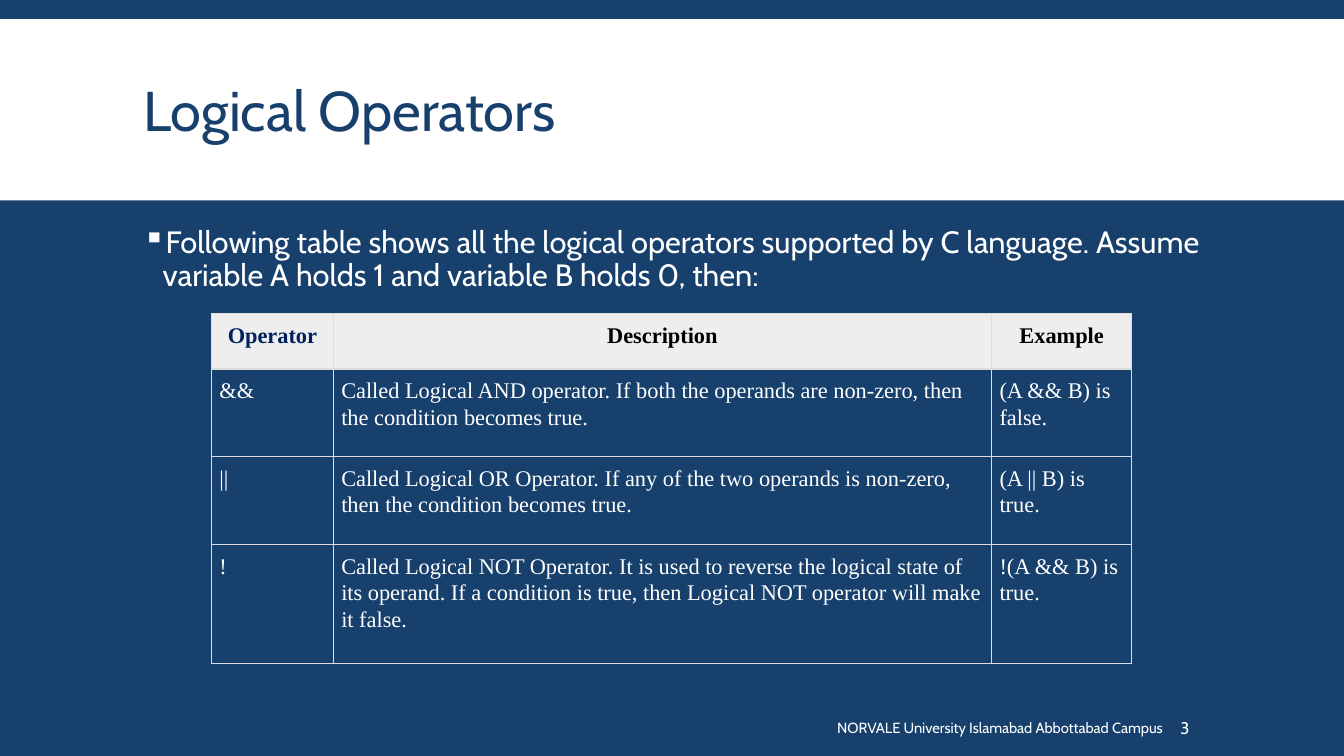
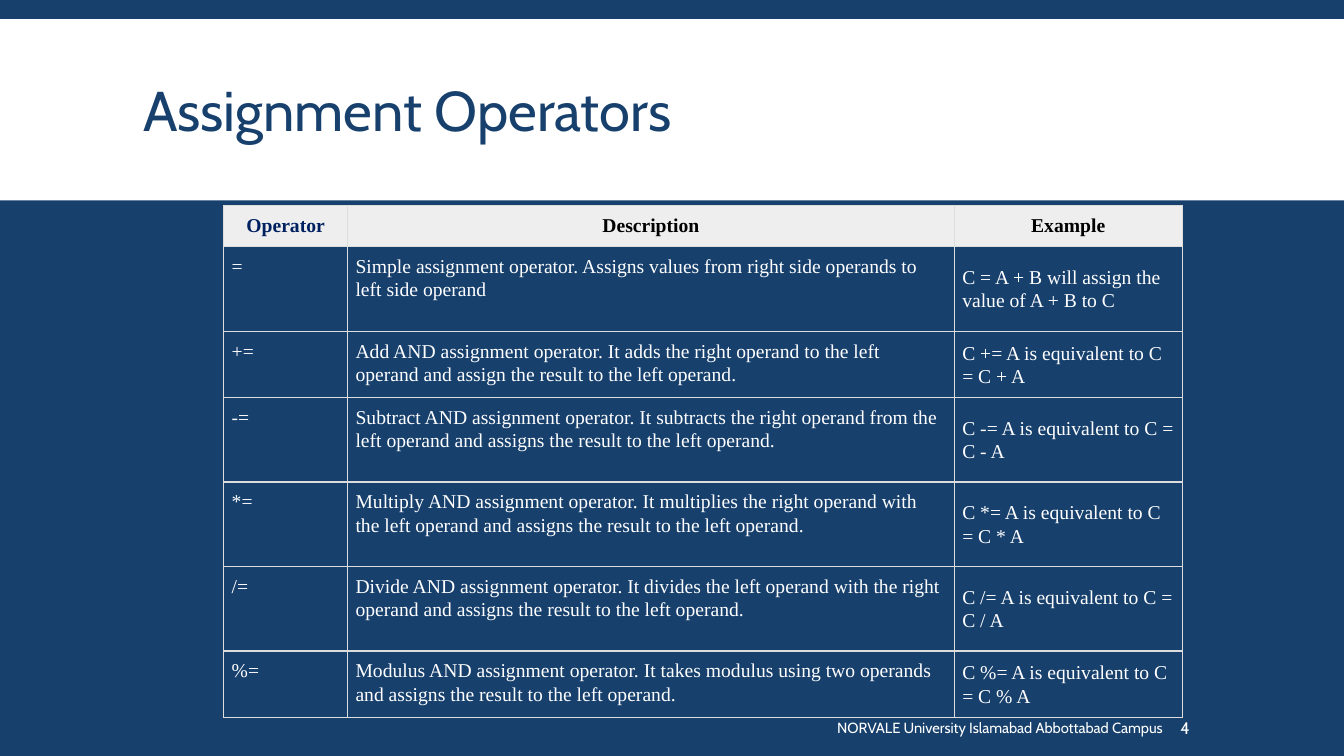
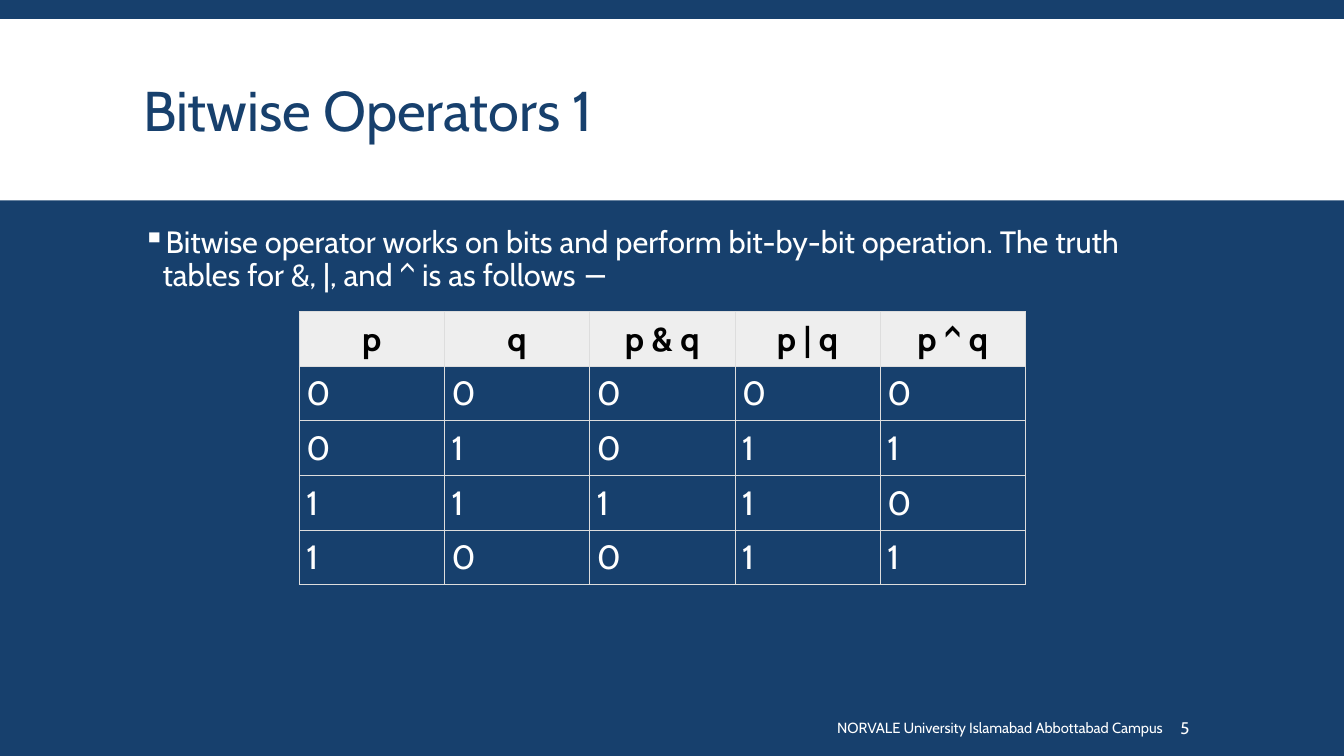
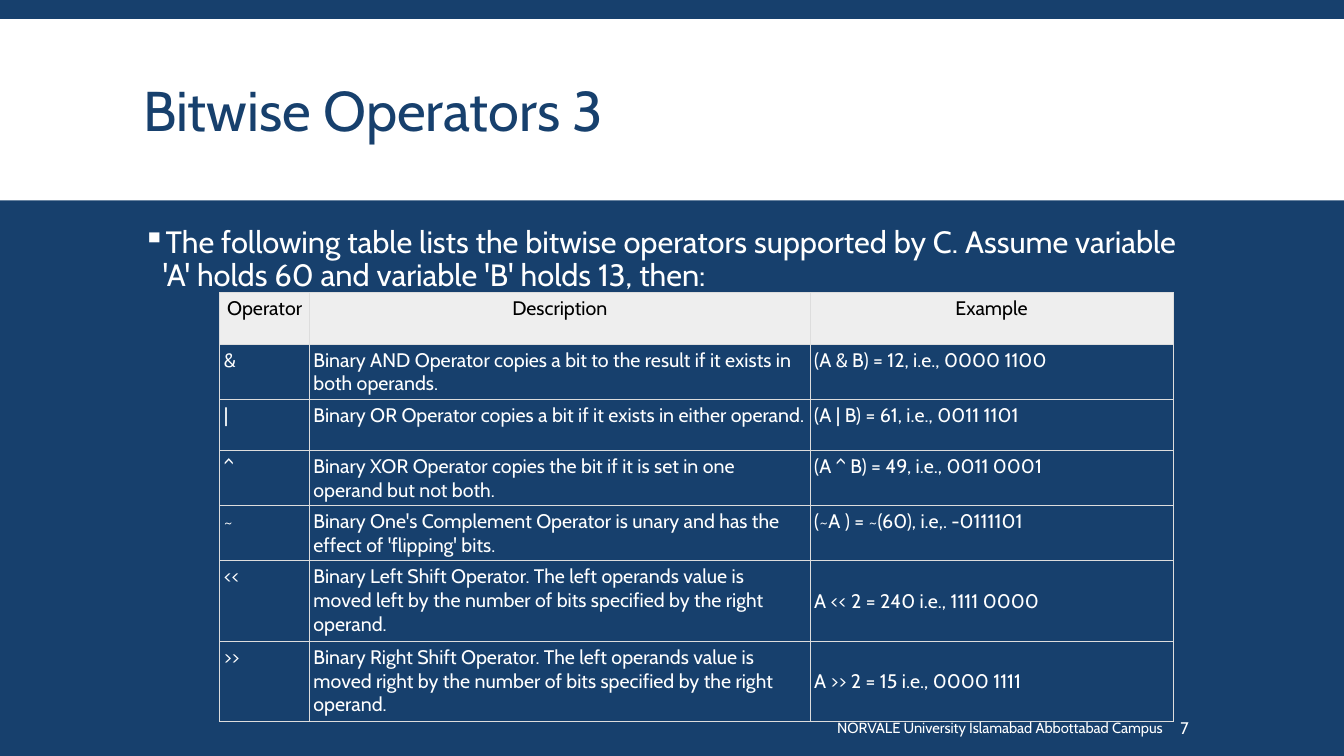
import dataclasses

import lxml.etree
import pptx
import pptx.dml.color
import pptx.enum.shapes
import pptx.enum.text
import pptx.oxml.ns
import pptx.util

Cm = pptx.util.Cm
Pt = pptx.util.Pt
ALIGN = pptx.enum.text.PP_ALIGN
ANCHOR = pptx.enum.text.MSO_ANCHOR


# Theme: colours, fonts and type sizes
@dataclasses.dataclass(frozen=True)
class Theme:
    navy: str = "17406D"
    white: str = "FFFFFF"
    black: str = "000000"
    deep_blue: str = "002060"
    header_fill: str = "EEEEEE"
    grid_line: str = "DDDDDD"
    sans: str = "Cabin"
    serif: str = "Times New Roman"
    title_size: float = 40
    intro_size: float = 22
    footer_size: float = 10.5
    number_size: float = 12


@dataclasses.dataclass(frozen=True)
class TableStyle:
    font: str
    size: float
    inset: float
    line: float
    bold_header: bool = True
    key_color: str = Theme.black
    line_spacing: float = 1.0
    space_after: float = 0


FOOTER = "NORVALE University Islamabad Abbottabad Campus"
HEADINGS = ["Operator", "Description", "Example"]


def add_xml(parent, tag, **attributes):
    return lxml.etree.SubElement(parent, pptx.oxml.ns.qn(tag), attributes)


def set_borders(cell, color, width):
    properties = cell._tc.get_or_add_tcPr()
    for position, side in enumerate(("a:lnL", "a:lnR", "a:lnT", "a:lnB")):
        line = add_xml(properties, side, w=str(int(Pt(width))))
        add_xml(add_xml(line, "a:solidFill"), "a:srgbClr", val=color)
        properties.insert(position, line)


class Deck:
    def __init__(self, theme):
        self.theme = theme
        self.presentation = pptx.Presentation()
        self.presentation.slide_width = Cm(33.87)
        self.presentation.slide_height = Cm(19.05)
        self.paint(self.presentation.slide_master.background.fill, theme.navy)
        self.slide = None

    def paint(self, fill, color):
        fill.solid()
        fill.fore_color.rgb = pptx.dml.color.RGBColor.from_string(color)

    def set_text(self, paragraph, text, size, color, font=None, bold=False,
                 align=ALIGN.LEFT):
        paragraph.text = text
        paragraph.alignment = align
        paragraph.font.name = font or self.theme.sans
        paragraph.font.size = Pt(size)
        paragraph.font.bold = bold
        paragraph.font.color.rgb = pptx.dml.color.RGBColor.from_string(color)

    def text_box(self, left, top, width, height, anchor=ANCHOR.TOP):
        box = self.slide.shapes.add_textbox(Cm(left), Cm(top), Cm(width), Cm(height))
        box.text_frame.word_wrap = True
        box.text_frame.vertical_anchor = anchor
        return box.text_frame

    # Shared frame: band, title, footer and number
    def new_slide(self, title, number):
        layout = self.presentation.slide_layouts.get_by_name("Title Only")
        self.slide = self.presentation.slides.add_slide(layout)
        self.band()
        self.title(title)
        self.footer(number)

    def band(self):
        band = self.slide.shapes.add_shape(
            pptx.enum.shapes.MSO_SHAPE.RECTANGLE,
            0, Cm(0.48), self.presentation.slide_width, Cm(4.57))
        band.shadow.inherit = False
        self.paint(band.fill, self.theme.white)
        band.line.fill.background()
        # The band lies behind the title placeholder
        self.slide.shapes._spTree.insert(2, band._element)

    def title(self, text):
        title = self.slide.shapes.title
        title.left, title.top = Cm(3.35), Cm(0.79)
        title.width, title.height = Cm(27.18), Cm(4.19)
        frame = title.text_frame
        frame.auto_size = pptx.enum.text.MSO_AUTO_SIZE.NONE
        frame.vertical_anchor = ANCHOR.MIDDLE
        heading = frame.paragraphs[0]
        self.set_text(heading, text, self.theme.title_size, self.theme.navy)
        heading.line_spacing = 0.85

    def footer(self, number):
        campus = self.text_box(15.54, 17.83, 14.02, 1.02, ANCHOR.MIDDLE)
        self.set_text(campus.paragraphs[0], FOOTER, self.theme.footer_size,
                      self.theme.white, align=ALIGN.RIGHT)
        page = self.text_box(29.62, 17.83, 2.62, 1.02, ANCHOR.MIDDLE)
        page.margin_left = Cm(0.13)
        self.set_text(page.paragraphs[0], str(number), self.theme.number_size,
                      self.theme.white)

    # Bulleted introduction above a table
    def intro(self, text):
        sentence = self.text_box(3.35, 5.59, 27.18, 11.68).paragraphs[0]
        properties = sentence._p.get_or_add_pPr()
        properties.set("marL", str(int(Cm(0.5))))
        properties.set("indent", str(int(Cm(-0.5))))
        add_xml(add_xml(properties, "a:buClr"), "a:srgbClr", val=self.theme.white)
        add_xml(properties, "a:buChar", char="▪")
        self.set_text(sentence, text, self.theme.intro_size, self.theme.white)
        sentence.line_spacing = 0.9
        sentence.space_before, sentence.space_after = Pt(12), Pt(2)

    # Table with a light header row; middle lists the vertically centred cells
    def table(self, left, top, widths, heights, rows, style, middle=()):
        grid = self.slide.shapes.add_table(
            len(heights), len(widths), Cm(left), Cm(top),
            Cm(sum(widths)), Cm(sum(heights))).table
        grid.first_row = grid.horz_banding = False
        for column, width in zip(grid.columns, widths):
            column.width = Cm(width)
        for r, (height, texts) in enumerate(zip(heights, rows)):
            grid.rows[r].height = Cm(height)
            for c, text in enumerate(texts):
                self.cell(grid.cell(r, c), text, style, r == 0, c == 0,
                          (r, c) in middle)

    def cell(self, cell, text, style, is_header, is_key, is_middle):
        cell.margin_left = cell.margin_right = Cm(style.inset)
        cell.margin_top = cell.margin_bottom = Cm(style.inset)
        cell.vertical_anchor = ANCHOR.MIDDLE if is_middle else ANCHOR.TOP
        if is_header:
            self.paint(cell.fill, self.theme.header_fill)
            color = style.key_color if is_key else self.theme.black
        else:
            cell.fill.background()
            color = self.theme.white
        set_borders(cell, self.theme.grid_line, style.line)
        paragraph = cell.text_frame.paragraphs[0]
        self.set_text(paragraph, text, style.size, color, style.font,
                      is_header and style.bold_header,
                      ALIGN.CENTER if is_header else ALIGN.LEFT)
        paragraph.line_spacing = style.line_spacing
        paragraph.space_after = Pt(style.space_after)


def main():
    theme = Theme()
    deck = Deck(theme)
    logical_style = TableStyle(theme.serif, 16, 0.2, 1, key_color=theme.deep_blue,
                               line_spacing=1.07, space_after=15)
    assignment_style = dataclasses.replace(logical_style, size=14)
    truth_style = TableStyle(theme.sans, 24, 0.18, 0.6)
    bitwise_style = TableStyle(theme.sans, 14, 0.1, 0.6, bold_header=False)

    # Logical operators
    deck.new_slide("Logical Operators", 3)
    deck.intro("Following table shows all the logical operators supported by C "
               "language. Assume variable A holds 1 and variable B holds 0, then:")
    deck.table(5.33, 7.9, [3.07, 16.59, 3.53], [1.4, 2.21, 2.21, 3], [
        HEADINGS,
        ["&&", "Called Logical AND operator. If both the operands are non-zero, "
         "then the condition becomes true.", "(A && B) is false."],
        ["||", "Called Logical OR Operator. If any of the two operands is "
         "non-zero, then the condition becomes true.", "(A || B) is true."],
        ["!", "Called Logical NOT Operator. It is used to reverse the logical "
         "state of its operand. If a condition is true, then Logical NOT "
         "operator will make it false.", "!(A && B) is true."],
    ], logical_style)

    # Assignment operators
    deck.new_slide("Assignment Operators", 4)
    compound = [
        ("+", "Add AND assignment operator. It adds the right operand to the "
         "left operand and assign the result to the left operand."),
        ("-", "Subtract AND assignment operator. It subtracts the right operand "
         "from the left operand and assigns the result to the left operand."),
        ("*", "Multiply AND assignment operator. It multiplies the right operand "
         "with the left operand and assigns the result to the left operand."),
        ("/", "Divide AND assignment operator. It divides the left operand with "
         "the right operand and assigns the result to the left operand."),
        ("%", "Modulus AND assignment operator. It takes modulus using two "
         "operands and assigns the result to the left operand."),
    ]
    deck.table(5.64, 5.18, [3.12, 15.29, 5.74],
               [1, 2.13, 1.58, 2.13, 2.13, 2.13, 1.58], [
        HEADINGS,
        ["=", "Simple assignment operator. Assigns values from right side "
         "operands to left side operand",
         "C = A + B will assign the value of A + B to C"],
        *([f"{sign}=", description, f"C {sign}= A is equivalent to C = C {sign} A"]
          for sign, description in compound),
    ], assignment_style, middle=[(row, 2) for row in range(1, 7)])

    # Truth table
    deck.new_slide("Bitwise Operators 1", 5)
    deck.intro("Bitwise operator works on bits and perform bit-by-bit operation. "
               "The truth tables for &, |, and ^ is as follows −")
    bits = [(0, 0), (0, 1), (1, 1), (1, 0)]
    deck.table(7.54, 7.85, [3.66] * 5, [1.27] * 5, [
        ["p", "q", "p & q", "p | q", "p ^ q"],
        *([str(bit) for bit in (p, q, p & q, p | q, p ^ q)] for p, q in bits),
    ], truth_style)

    # Bitwise operators
    deck.new_slide("Bitwise Operators 3", 7)
    deck.intro("The following table lists the bitwise operators supported by C. "
               "Assume variable 'A' holds 60 and variable 'B' holds 13, then:")
    deck.table(5.54, 7.37, [2.26, 12.62, 9.14], [1.3] * 5 + [2.03] * 2, [
        HEADINGS,
        ["&", "Binary AND Operator copies a bit to the result if it exists in "
         "both operands.", "(A & B) = 12, i.e., 0000 1100"],
        ["|", "Binary OR Operator copies a bit if it exists in either operand.",
         "(A | B) = 61, i.e., 0011 1101"],
        ["^", "Binary XOR Operator copies the bit if it is set in one operand "
         "but not both.", "(A ^ B) = 49, i.e., 0011 0001"],
        ["~", "Binary One's Complement Operator is unary and has the effect of "
         "'flipping' bits.", "(~A ) = ~(60), i.e,. -0111101"],
        ["<<", "Binary Left Shift Operator. The left operands value is moved left "
         "by the number of bits specified by the right operand.",
         "A << 2 = 240 i.e., 1111 0000"],
        [">>", "Binary Right Shift Operator. The left operands value is moved "
         "right by the number of bits specified by the right operand.",
         "A >> 2 = 15 i.e., 0000 1111"],
    ], bitwise_style, middle=[(4, 1), (5, 2), (6, 2)])

    deck.presentation.save("out.pptx")


if __name__ == "__main__":
    main()
